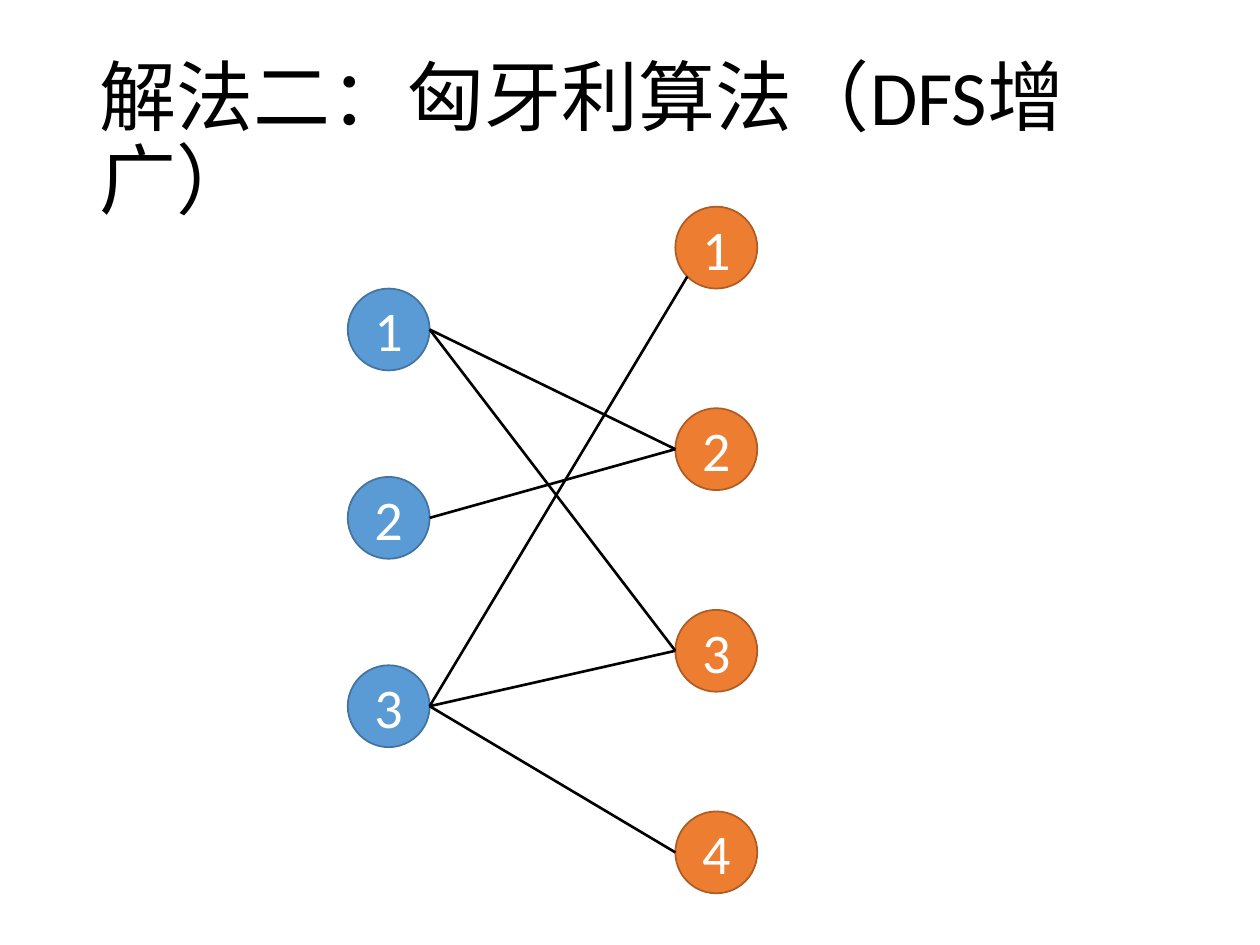
import math

import pptx
import pptx.dml.color
import pptx.enum.shapes
import pptx.enum.text
import pptx.util
from lxml import etree

TITLE = "解法二：匈牙利算法（DFS增广）"
# Columns of nodes: left edge, first top, row step, fill, outline
COLUMNS = {
    "left": dict(labels="123", x=2.76, y=2.29, step=1.495, colors=("5B9BD5", "43739E")),
    "right": dict(labels="1234", x=5.36, y=1.64, step=1.6, colors=("ED7D31", "AF5C24")),
}
# Left node, right node, angle in degrees below the right node's left point
EDGES = [(1, 2, 0), (1, 3, 0), (2, 2, 0), (3, 1, 45), (3, 3, 0), (3, 4, 0)]
DIAMETER = 0.65
THEME = dict(font="Calibri", title=44, node=32, ink="000000", paper="FFFFFF",
             outline=1, edge=1.5)

Inches, Pt = pptx.util.Inches, pptx.util.Pt


def rgb(value):
    """Return a colour from its hex form."""
    return pptx.dml.color.RGBColor.from_string(value)


def style(p, size, color, align):
    """Set the font and alignment of a paragraph."""
    p.font.name, p.font.size = THEME["font"], Pt(size)
    p.font.color.rgb = rgb(color)
    p.alignment = align


def center(side, number):
    """Return the centre of a numbered node, in inches."""
    col = COLUMNS[side]
    radius = DIAMETER / 2
    return col["x"] + radius, col["y"] + (number - 1) * col["step"] + radius


def add_title(slide):
    """Fill and place the title."""
    sp = slide.shapes.title
    sp.left, sp.top, sp.width, sp.height = map(Inches, (0.69, 0.4, 8.62, 1.45))
    tf = sp.text_frame
    tf.text = TITLE
    tf.word_wrap = True
    tf.auto_size = pptx.enum.text.MSO_AUTO_SIZE.NONE
    tf.vertical_anchor = pptx.enum.text.MSO_ANCHOR.MIDDLE
    p = tf.paragraphs[0]
    p.line_spacing = 0.9
    style(p, THEME["title"], THEME["ink"], pptx.enum.text.PP_ALIGN.LEFT)


def add_node(slide, side, number, label):
    """Draw one numbered circle."""
    x, y = center(side, number)
    fill, outline = COLUMNS[side]["colors"]
    sp = slide.shapes.add_shape(
        pptx.enum.shapes.MSO_SHAPE.OVAL, Inches(x - DIAMETER / 2),
        Inches(y - DIAMETER / 2), Inches(DIAMETER), Inches(DIAMETER))
    sp.shadow.inherit = False
    sp.fill.solid()
    sp.fill.fore_color.rgb = rgb(fill)
    sp.line.color.rgb = rgb(outline)
    sp.line.width = Pt(THEME["outline"])
    tf = sp.text_frame
    tf.text = label
    tf.vertical_anchor = pptx.enum.text.MSO_ANCHOR.MIDDLE
    style(tf.paragraphs[0], THEME["node"], THEME["paper"],
          pptx.enum.text.PP_ALIGN.CENTER)


def add_edge(slide, start, end, degrees):
    """Join a left node to a right node, rim to rim."""
    radius, angle = DIAMETER / 2, math.radians(degrees)
    x1, y1 = center("left", start)
    x2, y2 = center("right", end)
    points = (x1 + radius, y1,
              x2 - radius * math.cos(angle), y2 + radius * math.sin(angle))
    line = slide.shapes.add_connector(
        pptx.enum.shapes.MSO_CONNECTOR.STRAIGHT, *map(Inches, points))
    line.line.color.rgb = rgb(THEME["ink"])
    line.line.width = Pt(THEME["edge"])
    etree.SubElement(line._element.spPr, pptx.oxml.ns.qn("a:effectLst"))


prs = pptx.Presentation()
prs.slide_width, prs.slide_height = Inches(10), Inches(7.5)
slide = prs.slides.add_slide(prs.slide_layouts[5])
add_title(slide)
for side, col in COLUMNS.items():
    for number, label in enumerate(col["labels"], 1):
        add_node(slide, side, number, label)
for edge in EDGES:
    add_edge(slide, *edge)
prs.save("out.pptx")
